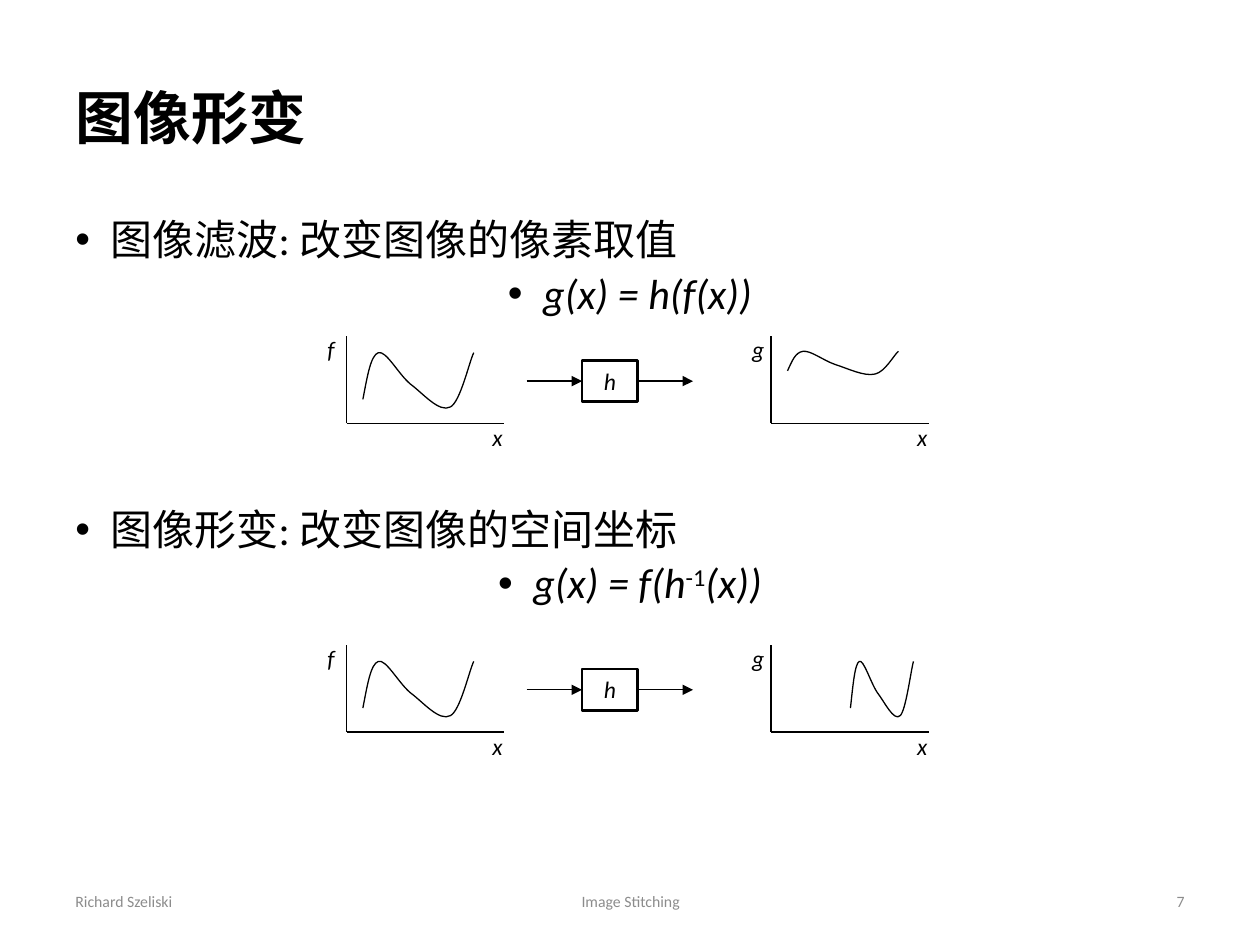
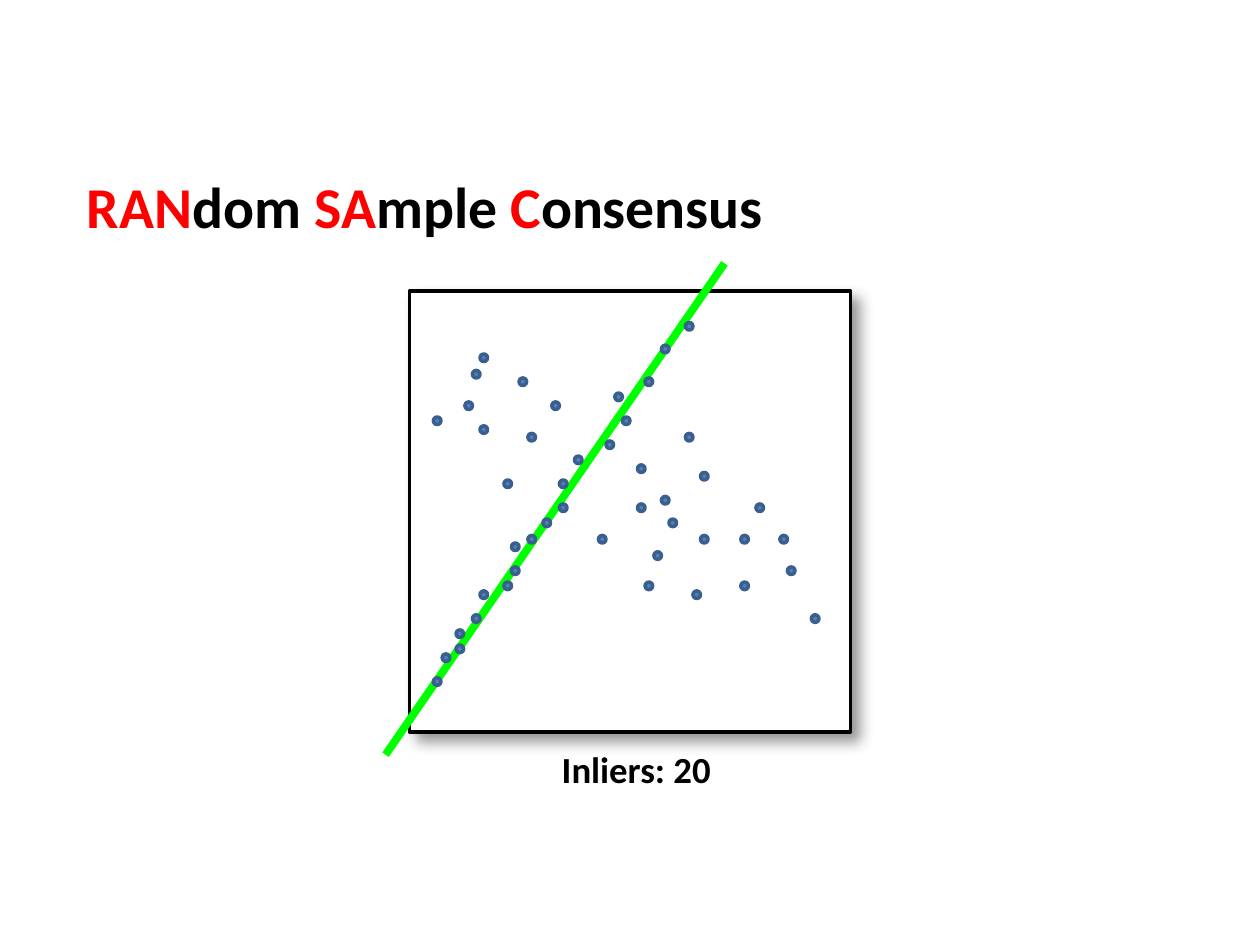
"""Build two slides: image warping diagrams and a RANSAC line fit."""
from lxml import etree
from pptx import Presentation
from pptx.dml.color import RGBColor
from pptx.enum.shapes import MSO_CONNECTOR as Connector, MSO_SHAPE as Preset
from pptx.enum.text import MSO_ANCHOR as Anchor, PP_ALIGN as Align
from pptx.oxml import parse_xml
from pptx.oxml.ns import nsdecls, qn
from pptx.util import Inches, Pt

COLORS = {"ink": "000000", "paper": "FFFFFF", "footer": "8C8C8C", "accent": "FF0000",
          "fit": "00FF00", "dot": "4F81BD", "dot_edge": "3A5F8C"}
FONT = "Calibri"
TITLE_SIZE = 33

WARP_TITLE = "图像形变"
FOOTERS = [("Richard Szeliski", 0.5, 2.33, Align.LEFT),
           ("Image Stitching", 3.42, 3.17, Align.CENTER),
           ("7", 7.17, 2.33, Align.RIGHT)]
ITALIC = {"italic": True}
BULLETS = [
    (["图像滤波: 改变图像的像素取值"], Align.LEFT, 0),
    ([("g(x) = h(f(x))", ITALIC)], Align.CENTER, 4.8),
    (["图像形变: 改变图像的空间坐标"], Align.LEFT, 109),
    ([("g(x) = f(h", ITALIC), ("-1", {"raised": True}), ("(x))", ITALIC)], Align.CENTER, 4.8),
]
CURVE = [(0, 0.78), (0.04, 0.42), (0.07, 0.08), (0.14, 0.04), (0.21, 0), (0.32, 0.38),
         (0.43, 0.54), (0.54, 0.68), (0.69, 1), (0.79, 0.9), (0.88, 0.82), (0.96, 0.18),
         (1, 0.04)]
GRAPH_LEFTS = {"f": 2.75, "g": 6.12}
F_CURVE = (0.13, 0.88, 0.5)
DIAGRAMS = [(2.67, {"f": F_CURVE, "g": (0.13, 0.88, 0.21)}),
            (5.12, {"f": F_CURVE, "g": (0.63, 0.5, 0.5)})]

ACCENT = {"color": "accent"}
RANSAC_TITLE = [("RAN", ACCENT), "dom ", ("SA", ACCENT), "mple ", ("C", ACCENT), "onsensus"]
INLIERS = [
    (4.06, 4.5), (4.19, 4.25), (3.81, 4.69), (4, 4.62), (3.75, 4.88), (3.62, 5),
    (3.51, 5.19), (3.44, 5.38), (3.62, 5.12), (4.06, 4.31), (4.31, 4.12), (4.44, 4),
    (4.44, 3.81), (4.56, 3.62), (4.81, 3.5), (4.94, 3.31), (4.88, 3.12), (5.12, 3),
    (5.25, 2.74), (5.44, 2.56)]
OUTLIERS = [
    (5.56, 4.25), (5.19, 4.38), (5.06, 4), (5.31, 4.12), (5.25, 3.94), (5.56, 3.75),
    (5.44, 3.44), (5.06, 3.69), (4.75, 4.25), (5.12, 4.62), (5.5, 4.69), (5.88, 4.62),
    (6.25, 4.5), (6.19, 4.25), (5.88, 4.25), (6, 4), (6.44, 4.88), (4.38, 3.19),
    (4.19, 3.44), (3.81, 3.38), (4, 3.81), (4.12, 3), (3.75, 2.94), (3.44, 3.31),
    (3.69, 3.19), (3.81, 2.81)]
DOT_SIZE = 0.06


def rgb(name):
    return RGBColor.from_string(COLORS[name])


def write(para, spans, size, color="ink", bold=False, italic=False, align=Align.LEFT):
    """Fill a paragraph with spans, each a string or a (string, format) pair."""
    para.alignment = align
    for item in [spans] if isinstance(spans, str) else spans:
        text, extra = (item, {}) if isinstance(item, str) else item
        span = para.add_run()
        span.text = text
        span.font.name, span.font.size = FONT, Pt(size)
        span.font.bold = bold
        span.font.italic = extra.get("italic", italic)
        span.font.color.rgb = rgb(extra.get("color", color))
        if extra.get("raised"):
            span._r.get_or_add_rPr().set("baseline", "30000")


def add_box(page, left, top, width, height, anchor=Anchor.TOP):
    box = page.shapes.add_textbox(*map(Inches, (left, top, width, height)))
    box.text_frame.word_wrap = True
    box.text_frame.vertical_anchor = anchor
    return box.text_frame


def add_label(page, spans, at, size, anchor=Anchor.TOP, **style):
    write(add_box(page, *at, anchor).paragraphs[0], spans, size, **style)


def set_title(page, spans, at):
    title = page.shapes.title
    title.left, title.top, title.width, title.height = map(Inches, at)
    title.text_frame.vertical_anchor = Anchor.MIDDLE
    write(title.text_frame.paragraphs[0], spans, TITLE_SIZE, bold=True)
    return title.text_frame


def add_shape(page, preset, at, line, weight, fill=None):
    shape = page.shapes.add_shape(preset, *map(Inches, at))
    shape.shadow.inherit = False
    if fill:
        shape.fill.solid()
        shape.fill.fore_color.rgb = rgb(fill)
    else:
        shape.fill.background()
    shape.line.color.rgb, shape.line.width = rgb(line), Pt(weight)
    return shape


def add_line(page, start, end, color="ink", weight=0.75, arrow=False):
    line = page.shapes.add_connector(Connector.STRAIGHT, *map(Inches, (*start, *end)))
    line.line.color.rgb, line.line.width = rgb(color), Pt(weight)
    if arrow:
        etree.SubElement(line.line._get_or_add_ln(), qn("a:tailEnd"), type="triangle")
    etree.SubElement(line._element.spPr, qn("a:effectLst"))
    return line


def add_curve(page, left, top, width, height):
    """Draw CURVE scaled to a rectangle, as cubic Bezier segments."""
    points = [(Inches(left + x * width), Inches(top + y * height)) for x, y in CURVE]
    builder = page.shapes.build_freeform(*points[0])
    builder.add_line_segments(points[1:], close=False)
    curve = builder.convert_to_shape()
    curve.shadow.inherit = False
    curve.fill.background()
    curve.line.color.rgb, curve.line.width = rgb("ink"), Pt(0.75)
    steps = list(curve._element.iter(qn("a:lnTo")))
    for first in range(0, len(steps), 3):
        trio = steps[first:first + 3]
        bezier = etree.Element(qn("a:cubicBezTo"))
        trio[0].addprevious(bezier)
        for step in trio:
            bezier.append(step[0])
            step.getparent().remove(step)


def add_graph(page, name, left, top, curve):
    base = top + 0.69
    add_line(page, (left, top), (left, base))
    add_line(page, (left, base), (left + 1.25, base))
    offset, width, height = curve
    add_curve(page, left + offset, top + 0.11, width, height)
    for text, x, y in [(name, left - 0.25, top - 0.06), ("x", left + 1.06, base - 0.05)]:
        add_label(page, text, (x, y, 0.31, 0.33), 13.5, italic=True)


def add_operator(page, top):
    left, width, height, reach = 4.62, 0.44, 0.33, 0.44
    box = add_shape(page, Preset.RECTANGLE, (left, top, width, height), "ink", 1.5)
    box.text_frame.vertical_anchor = Anchor.TOP
    write(box.text_frame.paragraphs[0], "h", 13.5, italic=True, align=Align.CENTER)
    middle, right = top + height / 2, left + width
    arrow_in = add_line(page, (left - reach, middle), (left, middle), arrow=True)
    arrow_in.end_connect(box, 1)
    arrow_out = add_line(page, (right, middle), (right + reach, middle), arrow=True)
    arrow_out.begin_connect(box, 3)


def add_bullets(page):
    frame = add_box(page, 0.5, 1.69, 9, 4.95)
    for index, (spans, align, gap) in enumerate(BULLETS):
        para = frame.add_paragraph() if index else frame.paragraphs[0]
        props = para._p.get_or_add_pPr()
        props.set("marL", str(Inches(0.28)))
        props.set("indent", str(-Inches(0.28)))
        etree.SubElement(props, qn("a:buFont"), typeface="Arial")
        etree.SubElement(props, qn("a:buChar"), char="•")
        para.line_spacing = 0.9
        if gap:
            para.space_before = Pt(gap)
        write(para, spans, 24, align=align)


def build_warp(page):
    set_title(page, WARP_TITLE, (0.5, 0.3, 9, 1.25))
    for text, left, width, align in FOOTERS:
        add_label(page, text, (left, 6.95, width, 0.4), 9, Anchor.MIDDLE,
                  color="footer", align=align)
    add_bullets(page)
    for top, curves in DIAGRAMS:
        for name, left in GRAPH_LEFTS.items():
            add_graph(page, name, left, top, curves[name])
        add_operator(page, top + 0.19)


def build_ransac(page):
    frame = set_title(page, RANSAC_TITLE, (0.62, 1.16, 9, 0.94))
    frame.margin_left = frame.margin_right = Inches(0.07)
    frame.margin_top = frame.margin_bottom = Inches(0.04)
    plot = add_shape(page, Preset.RECTANGLE, (3.25, 2.31, 3.5, 3.5), "ink", 2, "paper")
    plot._element.spPr.find(qn("a:effectLst")).append(parse_xml(
        f'<a:outerShdw {nsdecls("a")} blurRad="{Pt(8)}" dist="{Pt(6)}" dir="2700000" '
        f'algn="tl" rotWithShape="0"><a:srgbClr val="{COLORS["ink"]}">'
        '<a:alpha val="40000"/></a:srgbClr></a:outerShdw>'))
    add_line(page, (3.06, 5.99), (5.75, 2.09), "fit", 4.5)
    for left, top in INLIERS + OUTLIERS:
        add_shape(page, Preset.OVAL, (left, top, DOT_SIZE, DOT_SIZE), "dot_edge", 2, "dot")
    add_label(page, f"Inliers: {len(INLIERS)}", (4.36, 5.88, 1.55, 0.45), 21, bold=True)


def main():
    deck = Presentation()
    deck.slide_width, deck.slide_height = Inches(10), Inches(7.5)
    for build in (build_warp, build_ransac):
        build(deck.slides.add_slide(deck.slide_layouts[5]))
    deck.save("out.pptx")


if __name__ == "__main__":
    main()
